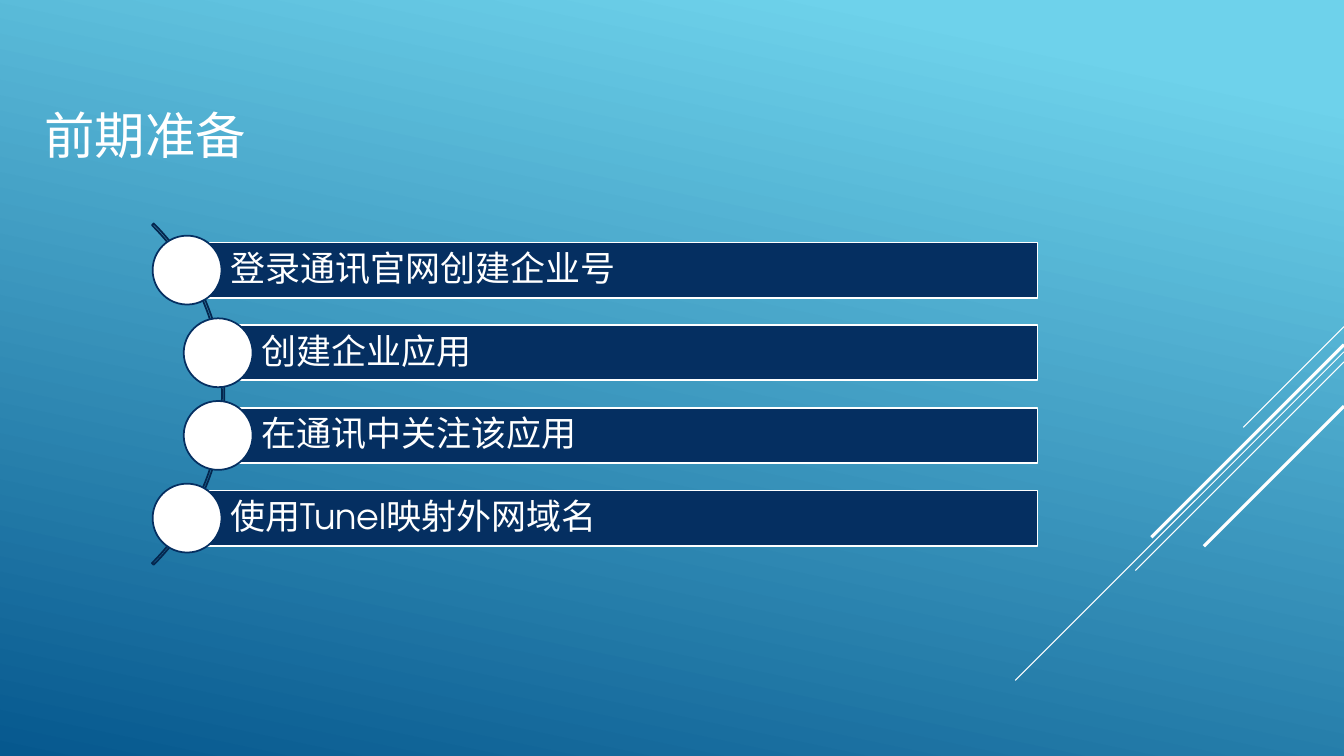
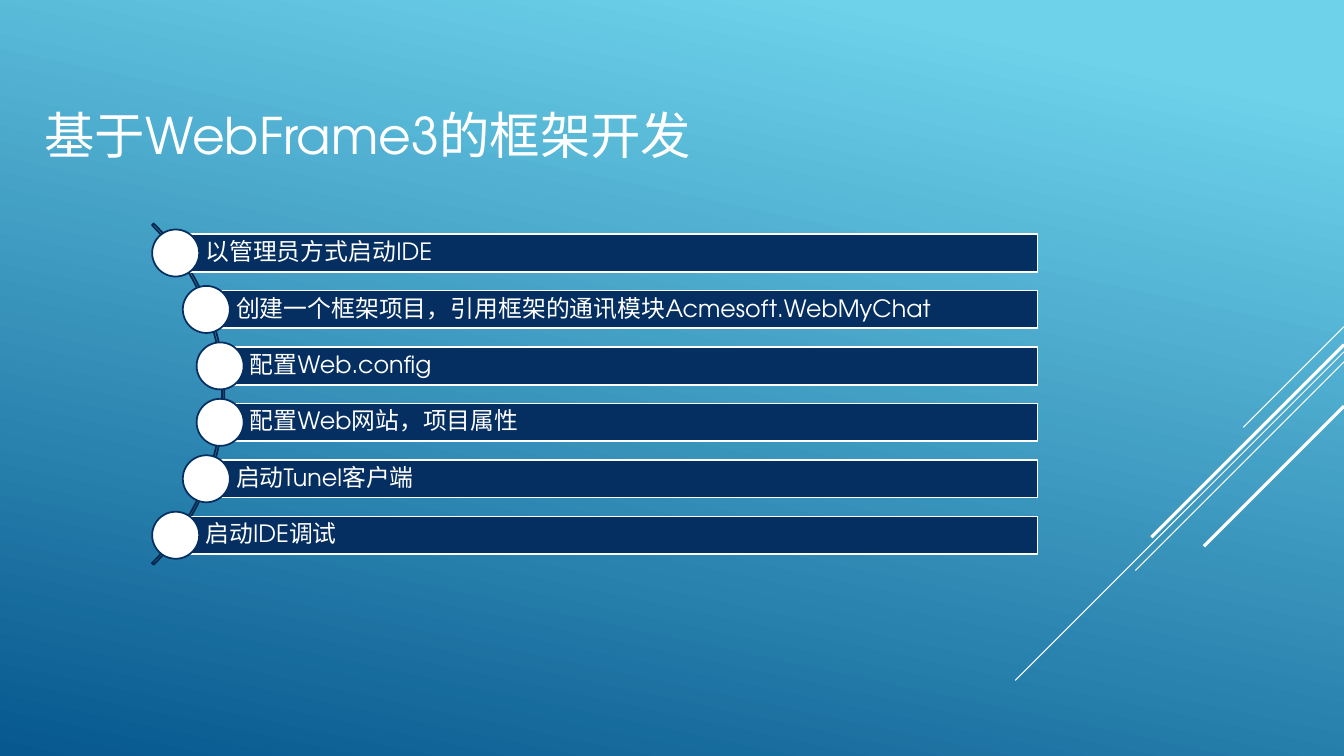
import math

import lxml.etree
import pptx
import pptx.dml.color
import pptx.enum.shapes
import pptx.enum.text
import pptx.oxml.ns
import pptx.util

Inches = pptx.util.Inches
Pt = pptx.util.Pt
MSO_SHAPE = pptx.enum.shapes.MSO_SHAPE

COLORS = {
    "sky": "6ED2EB",
    "deep": "06588E",
    "white": "FFFFFF",
    "navy": "052F61",
    "arc": "04264E",
}
FONT = "TeX Gyre Adventor"
RIGHT_EDGE = 13.33
STRIPES = [
    (3.24, 1.0, 0.75),
    (3.49, 3.26, 0.75),
    (3.59, 2.07, 0.75),
    (3.42, 1.91, 2.25),
    (4.03, 1.39, 2.25),
]
ARC_CENTER = (-0.17, 3.91)
ARC_SIZE = 4.79
DOT_RADIUS = 2.37
BAR_RIGHT = 10.29

AGENDAS = [
    ("前期准备", 0.82, 25, [
        "登录通讯官网创建企业号",
        "创建企业应用",
        "在通讯中关注该应用",
        "使用Tunel映射外网域名",
    ]),
    ("基于WebFrame3的框架开发", 0.56, 17, [
        "以管理员方式启动IDE",
        "创建一个框架项目，引用框架的通讯模块Acmesoft.WebMyChat",
        "配置Web.config",
        "配置Web网站，项目属性",
        "启动Tunel客户端",
        "启动IDE调试",
    ]),
]


def rgb(name):
    """Return the named palette colour."""
    return pptx.dml.color.RGBColor.from_string(COLORS[name])


def style_text(frame, size):
    """Give every paragraph the deck's white lettering, aligned left."""
    for paragraph in frame.paragraphs:
        paragraph.alignment = pptx.enum.text.PP_ALIGN.LEFT
        paragraph.font.name = FONT
        paragraph.font.size = Pt(size)
        paragraph.font.color.rgb = rgb("white")


def paint_background(master):
    """Fill the master background with the slanted blue gradient."""
    fill = master.background.fill
    fill.gradient()
    fill.gradient_angle = 360 - 102
    stops = zip(fill.gradient_stops, (("sky", 0.1), ("deep", 1.0)))
    for stop, (name, position) in stops:
        stop.color.rgb = rgb(name)
        stop.position = position


def add_stripes(master, slide):
    """Draw the diagonal stripes and move them onto the master."""
    for number, (top, reach, weight) in enumerate(STRIPES):
        stripe = slide.shapes.add_connector(
            pptx.enum.shapes.MSO_CONNECTOR.STRAIGHT,
            Inches(RIGHT_EDGE), Inches(top),
            Inches(RIGHT_EDGE - reach), Inches(top + reach))
        stripe.line.color.rgb = rgb("white")
        stripe.line.width = Pt(weight)
        lxml.etree.SubElement(stripe.element.spPr, pptx.oxml.ns.qn("a:effectLst"))
        stripe.element.nvCxnSpPr.cNvPr.set("id", str(100 + number))
        master.shapes.element.append(stripe.element)


def set_title(slide, text):
    """Place and format the slide title."""
    title = slide.shapes.title
    title.left, title.top = Inches(0.34), Inches(0)
    title.width, title.height = Inches(9.33), Inches(1.68)
    frame = title.text_frame
    frame.text = text
    frame.auto_size = pptx.enum.text.MSO_AUTO_SIZE.NONE
    frame.vertical_anchor = pptx.enum.text.MSO_ANCHOR.BOTTOM
    style_text(frame, 36)


def add_figure(slide, preset, box, fill, line):
    """Add a flat preset shape with an optional fill and a thin outline."""
    figure = slide.shapes.add_shape(preset, *map(Inches, box))
    figure.shadow.inherit = False
    if fill:
        figure.fill.solid()
        figure.fill.fore_color.rgb = rgb(fill)
    else:
        figure.fill.background()
    figure.line.color.rgb = rgb(line)
    figure.line.width = Pt(1.25)
    return figure


def add_arc(slide):
    """Draw the thin arc that links the dots."""
    left, top = (center - ARC_SIZE / 2 for center in ARC_CENTER)
    arc = add_figure(slide, MSO_SHAPE.BLOCK_ARC,
                     (left, top, ARC_SIZE, ARC_SIZE), None, "arc")
    for index, value in enumerate((189, 27, 0.005)):
        arc.adjustments[index] = value


def add_step(slide, text, offset, height, size):
    """Add one labelled bar with its dot on the arc."""
    x = ARC_CENTER[0] + math.sqrt(DOT_RADIUS ** 2 - offset ** 2)
    y = ARC_CENTER[1] + offset
    bar = add_figure(slide, MSO_SHAPE.RECTANGLE,
                     (x, y - height / 2, BAR_RIGHT - x, height), "navy", "white")
    frame = bar.text_frame
    frame.text = text
    frame.word_wrap = True
    frame.vertical_anchor = pptx.enum.text.MSO_ANCHOR.MIDDLE
    frame.margin_left = Inches(height * 0.79)
    frame.margin_top = frame.margin_right = frame.margin_bottom = Inches(height / 8)
    frame.paragraphs[0].line_spacing = 0.9
    style_text(frame, size)
    dot = height * 1.25
    add_figure(slide, MSO_SHAPE.OVAL,
               (x - dot / 2, y - dot / 2, dot, dot), "white", "navy")


def add_agenda(slide, title, pitch, size, steps):
    """Fill a slide with its title and curved list of steps."""
    set_title(slide, title)
    add_arc(slide)
    for index, text in enumerate(steps):
        offset = (index - (len(steps) - 1) / 2) * pitch
        add_step(slide, text, offset, pitch * 2 / 3, size)


def main():
    """Build and save the deck."""
    deck = pptx.Presentation()
    deck.slide_width, deck.slide_height = Inches(RIGHT_EDGE), Inches(7.5)
    paint_background(deck.slide_master)
    title_only = deck.slide_layouts.get_by_name("Title Only")
    for agenda in AGENDAS:
        add_agenda(deck.slides.add_slide(title_only), *agenda)
    add_stripes(deck.slide_master, deck.slides[0])
    deck.save("out.pptx")


if __name__ == "__main__":
    main()
